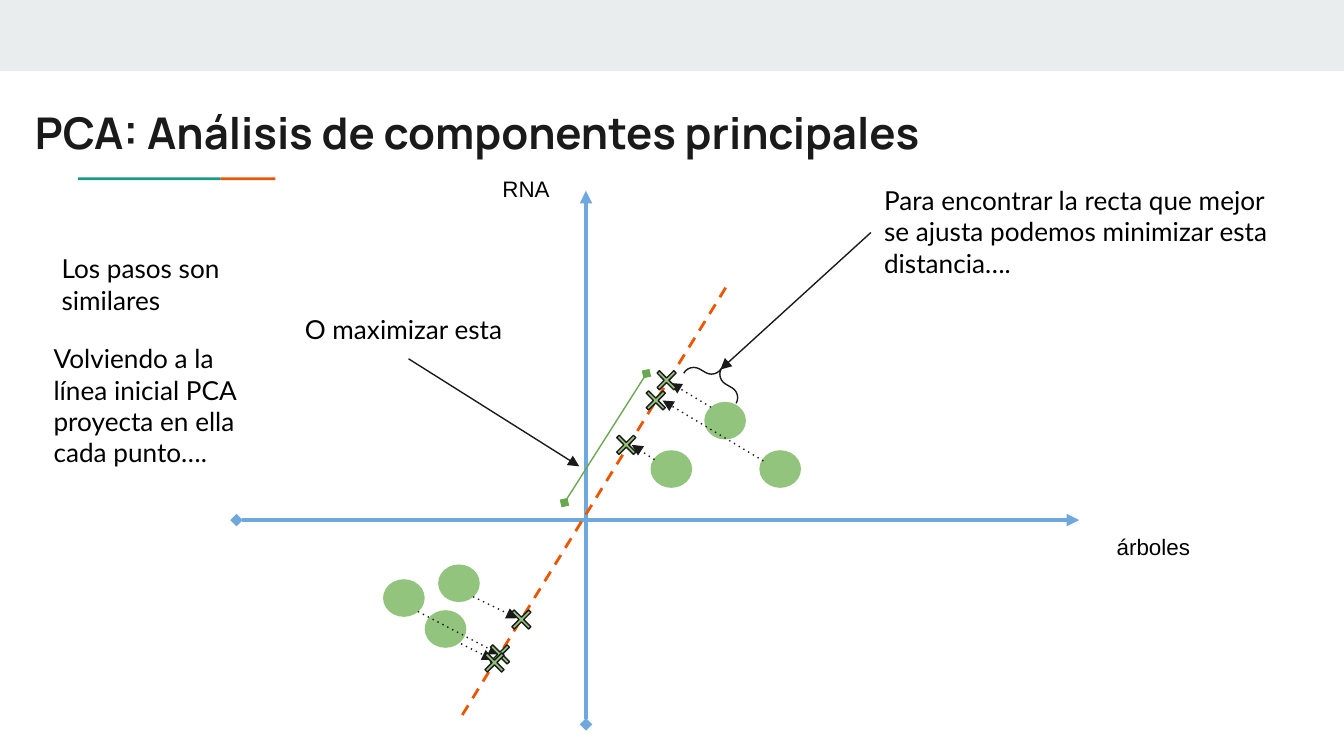
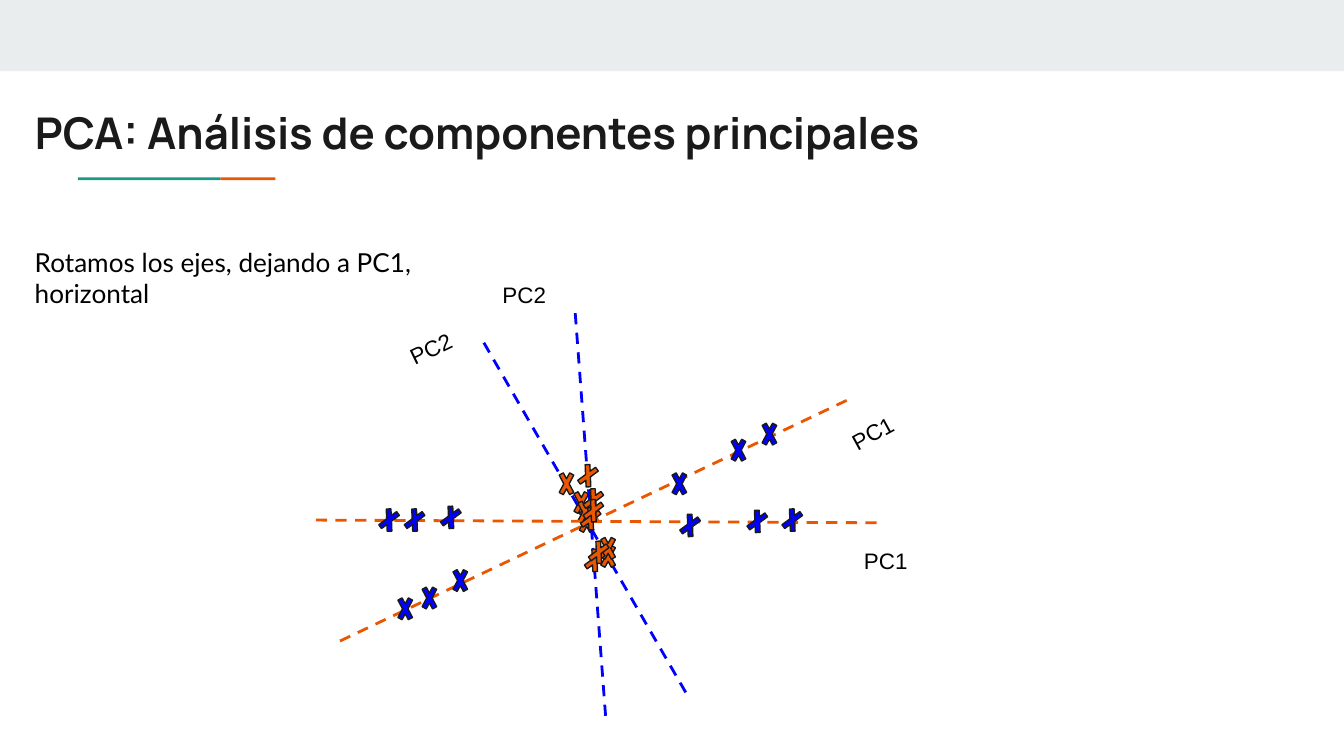
from lxml import etree
from pptx import Presentation
from pptx.dml.color import RGBColor
from pptx.enum import shapes, text
from pptx.oxml.ns import qn
from pptx.util import Inches, Pt

INK, BLACK, BAND = "1A1A1A", "000000", "E9EDEE"
ORANGE, TEAL, BLUE = "EB5600", "1A9988", "0000FF"
AXIS, POINT, SPAN = "6FA8DC", "93C47D", "6AA84F"
TITLE = "PCA: Análisis de componentes principales"
SHAPE = shapes.MSO_SHAPE


def color(value):
    return RGBColor.from_string(value)


def add_text(frame, words, size=14, font="Lato", ink=BLACK, bold=False):
    """Write one left-aligned paragraph into a text frame."""
    frame.word_wrap = True
    frame.margin_left = frame.margin_right = Inches(0.1)
    frame.margin_top = frame.margin_bottom = Inches(0.1)
    para = frame.paragraphs[0]
    para.alignment = text.PP_ALIGN.LEFT
    span = para.add_run()
    span.text = words
    span.font.size = Pt(size)
    span.font.name = font
    span.font.bold = bold
    span.font.color.rgb = color(ink)


def add_box(page, words, left, top, width, height, rotation=0, **style):
    box = page.shapes.add_textbox(*map(Inches, (left, top, width, height)))
    box.rotation = rotation
    add_text(box.text_frame, words, **style)
    box.text_frame.auto_size = text.MSO_AUTO_SIZE.SHAPE_TO_FIT_TEXT


def add_axis_label(page, words, left, top, width=0.61, rotation=0):
    add_box(page, words, left, top, width, 0.4, rotation, size=12, font="Arial")


def add_figure(page, kind, left, top, width, height, fill=None, line=None,
               rotation=0, adjust=()):
    figure = page.shapes.add_shape(kind, *map(Inches, (left, top, width, height)))
    figure.shadow.inherit = False
    figure.rotation = rotation
    for index, value in enumerate(adjust):
        figure.adjustments[index] = value
    if fill:
        figure.fill.solid()
        figure.fill.fore_color.rgb = color(fill)
    else:
        figure.fill.background()
    if line:
        figure.line.color.rgb = color(line)
        figure.line.width = Pt(0.75)
    else:
        figure.line.fill.background()


def add_line(page, start, end, ink=INK, width=0.75, dash=None, head=None, tail=None):
    line = page.shapes.add_connector(
        shapes.MSO_CONNECTOR.STRAIGHT, *map(Inches, (*start, *end)))
    line.line.color.rgb = color(ink)
    line.line.width = Pt(width)
    properties = line._element.spPr
    outline = properties.find(qn("a:ln"))
    if dash:
        etree.SubElement(outline, qn("a:prstDash"), val=dash)
    for tag, kind in (("a:headEnd", head), ("a:tailEnd", tail)):
        if kind:
            etree.SubElement(outline, qn(tag), type=kind)
    etree.SubElement(properties, qn("a:effectLst"))


def add_component(page, start, end, ink):
    """Draw the dashed line of a principal component."""
    add_line(page, start, end, ink, 1.5, "dash")


def add_crosses(page, places, fill, width=0.15, height=0.28, thickness=0.235, rotation=0):
    for left, top in places:
        add_figure(page, SHAPE.MATH_MULTIPLY, left, top, width, height,
                   fill, INK, rotation, [thickness])


def add_page(deck):
    """Add a slide with the band, the title and the two-colour rule."""
    page = deck.slides.add_slide(deck.slide_layouts[5])
    add_figure(page, SHAPE.RECTANGLE, 0, 0, 10, 0.53, BAND)
    add_figure(page, SHAPE.RECTANGLE, 1.64, 1.32, 0.41, 0.02, ORANGE)
    add_figure(page, SHAPE.RECTANGLE, 0.58, 1.32, 1.06, 0.02, TEAL)
    title = page.shapes.title
    title.left, title.top, title.width, title.height = map(
        Inches, (0.16, 0.69, 8.41, 0.59))
    add_text(title.text_frame, TITLE, size=23.4, font="Manrope", ink=INK, bold=True)
    title.text_frame.auto_size = text.MSO_AUTO_SIZE.NONE
    title.text_frame.vertical_anchor = text.MSO_ANCHOR.MIDDLE
    return page


def add_projection_page(deck):
    page = add_page(deck)
    for start, end in (((1.76, 3.87), (8.03, 3.87)), ((4.36, 5.39), (4.36, 1.42))):
        add_line(page, start, end, AXIS, 2.25, head="diamond", tail="triangle")
    add_axis_label(page, "árboles", 8.21, 3.87, 0.91)
    add_axis_label(page, "RNA", 3.64, 1.2)
    add_box(page, "Los pasos son similares", 0.36, 1.78, 2.14, 0.67)

    points = [(3.16, 4.54), (2.85, 4.31), (3.26, 4.2),
              (4.84, 3.35), (5.24, 2.99), (5.65, 3.35)]
    for left, top in points:
        add_figure(page, SHAPE.OVAL, left, top, 0.31, 0.28, POINT)
    add_component(page, (3.44, 5.32), (5.4, 2.14), ORANGE)
    add_box(page, "Volviendo a la línea inicial PCA proyecta en ella cada punto….",
            0.3, 2.45, 1.78, 1.14)

    projections = [((5.29, 3.03), (4.99, 2.85)), ((4.87, 3.42), (4.7, 3.31)),
                   ((5.68, 3.43), (4.93, 2.98)), ((3.52, 4.44), (3.85, 4.6)),
                   ((3.43, 4.79), (3.67, 4.91)), ((3.11, 4.55), (3.72, 4.87))]
    for start, end in projections:
        add_line(page, start, end, dash="dot", tail="triangle")
    crosses = [(4.84, 2.71), (4.76, 2.86), (4.54, 3.19),
               (3.76, 4.49), (3.6, 4.75), (3.56, 4.81)]
    add_crosses(page, crosses, POINT, 0.24, 0.24, 0.104)

    add_box(page, "Para encontrar la recta que mejor se ajusta podemos minimizar "
            "esta distancia….", 6.48, 1.27, 3.07, 0.91)
    add_figure(page, SHAPE.RIGHT_BRACE, 5.24, 2.59, 0.17, 0.45,
               line=INK, rotation=300, adjust=[0.5, 0.5])
    add_line(page, (6.48, 1.73), (5.36, 2.75), tail="triangle")
    add_line(page, (4.2, 3.74), (4.81, 2.78), SPAN, head="diamond", tail="diamond")
    add_box(page, "O maximizar esta", 2.17, 2.23, 1.74, 0.44)
    add_line(page, (3.04, 2.67), (4.31, 3.47), tail="triangle")


def add_rotation_page(deck):
    page = add_page(deck)
    add_box(page, "Rotamos los ejes, dejando a PC1, horizontal", 0.16, 1.73, 3.28, 0.67)

    # Tilted axes
    add_axis_label(page, "PC2", 2.94, 2.37, rotation=334.3)
    add_component(page, (2.53, 4.77), (6.32, 2.97), ORANGE)
    add_component(page, (3.6, 2.55), (5.13, 5.2), BLUE)
    add_crosses(page, [(4.45, 4), (4.25, 3.6), (4.14, 3.46),
                       (4.29, 3.74), (4.45, 3.94), (4.28, 3.67)], ORANGE)
    add_crosses(page, [(2.94, 4.39), (3.35, 4.18), (3.12, 4.31),
                       (4.98, 3.46), (5.42, 3.21), (5.65, 3.09)], BLUE)
    add_axis_label(page, "PC1", 6.19, 2.86, 1.19, 331.4)

    # Axes after the turn
    turn = 25.7
    add_axis_label(page, "PC2", 3.64, 1.99)
    add_component(page, (2.35, 3.87), (6.55, 3.89), ORANGE)
    add_component(page, (4.28, 2.33), (4.51, 5.38), BLUE)
    add_crosses(page, [(4.35, 4.03), (4.34, 3.58), (4.3, 3.4),
                       (4.32, 3.72), (4.38, 3.97), (4.34, 3.66)], ORANGE, rotation=turn)
    add_crosses(page, [(2.82, 3.73), (3.28, 3.71), (3.01, 3.73),
                       (5.06, 3.77), (5.56, 3.74), (5.82, 3.73)], BLUE, rotation=turn)
    add_axis_label(page, "PC1", 6.33, 3.97, 1.19)


def main():
    deck = Presentation()
    deck.slide_width = Inches(10)
    deck.slide_height = deck.slide_width * 9 // 16
    add_projection_page(deck)
    add_rotation_page(deck)
    deck.save("out.pptx")


if __name__ == "__main__":
    main()
